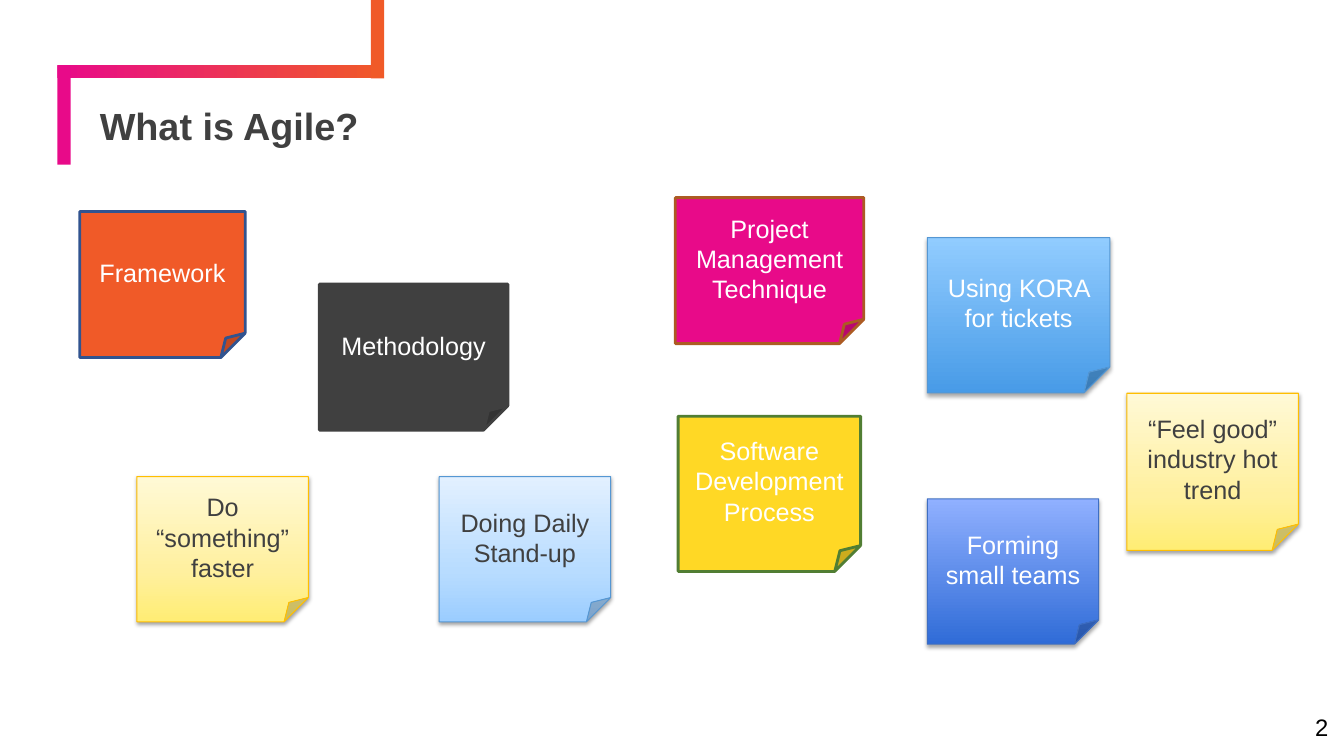
"""Build the "What is Agile?" slide with its sticky notes."""
from dataclasses import dataclass
from typing import Any, Optional

from lxml.etree import SubElement
from pptx import Presentation
from pptx.dml.color import RGBColor
from pptx.enum.shapes import MSO_SHAPE
from pptx.enum.text import MSO_ANCHOR, MSO_AUTO_SIZE, PP_ALIGN
from pptx.oxml.ns import qn
from pptx.util import Cm, Pt

WHITE = RGBColor(0xFF, 0xFF, 0xFF)
BLACK = RGBColor(0x00, 0x00, 0x00)
CHARCOAL = RGBColor(0x40, 0x40, 0x40)
ORANGE = RGBColor(0xF0, 0x5A, 0x28)
PINK = RGBColor(0xE8, 0x0A, 0x89)
YELLOW = RGBColor(0xFF, 0xD8, 0x25)
NAVY = RGBColor(0x31, 0x53, 0x8F)
BROWN = RGBColor(0xAC, 0x5B, 0x23)
GREEN = RGBColor(0x51, 0x7E, 0x33)
AMBER = RGBColor(0xFF, 0xBE, 0x00)
STEEL = RGBColor(0x55, 0x97, 0xD3)
COBALT = RGBColor(0x3E, 0x6E, 0xC2)

Stops = tuple[tuple[int, RGBColor], ...]
BANNER: Stops = ((0, PINK), (100, ORANGE))
CREAM: Stops = ((0, RGBColor(0xFF, 0xED, 0x74)), (35, RGBColor(0xFF, 0xF0, 0x9F)),
                (100, RGBColor(0xFF, 0xF9, 0xD6)))
ICE: Stops = ((0, RGBColor(0x9B, 0xCD, 0xFF)), (35, RGBColor(0xB8, 0xDC, 0xFF)),
              (100, RGBColor(0xE2, 0xF0, 0xFF)))
SKY: Stops = ((0, RGBColor(0x48, 0x9B, 0xE7)), (100, RGBColor(0x91, 0xCC, 0xFF)))
ROYAL: Stops = ((0, RGBColor(0x30, 0x6C, 0xD7)), (100, RGBColor(0x90, 0xB0, 0xFF)))


@dataclass(frozen=True)
class Shadow:
    opacity: int
    distance: float


SOFT = Shadow(37, 1.6)
FIRM = Shadow(35, 1.8)


@dataclass(frozen=True)
class Bar:
    left: float
    top: float
    width: float
    height: float
    fill: RGBColor | Stops


@dataclass(frozen=True)
class Note:
    text: str
    left: float
    top: float
    width: float
    height: float
    fill: RGBColor | Stops
    line: RGBColor
    color: RGBColor = WHITE
    shadow: Optional[Shadow] = None


BARS = (
    Bar(1.45, 1.65, 8.23, 0.33, BANNER),
    Bar(1.45, 1.65, 0.33, 2.5, PINK),
    Bar(9.35, 0, 0.33, 1.98, ORANGE),
)
NOTES = (
    Note("Framework", 2.01, 5.33, 4.17, 3.68, ORANGE, NAVY),
    Note("Project Management Technique", 17.02, 4.98, 4.75, 3.68, PINK, BROWN),
    Note("Methodology", 8.05, 7.16, 4.75, 3.68, CHARCOAL, CHARCOAL),
    Note("Software Development Process", 17.09, 10.49, 4.6, 3.91, YELLOW, GREEN),
    Note("Do “something” faster", 3.45, 12.01, 4.32, 3.66, CREAM, AMBER, CHARCOAL, SOFT),
    Note("Doing Daily Stand-up", 11.07, 12.01, 4.32, 3.66, ICE, STEEL, CHARCOAL, SOFT),
    Note("Using KORA for tickets", 23.37, 5.99, 4.6, 3.91, SKY, STEEL, WHITE, FIRM),
    Note("Forming small teams", 23.37, 12.57, 4.32, 3.66, ROYAL, COBALT, WHITE, FIRM),
    Note("“Feel good” industry hot trend", 28.4, 9.91, 4.32, 3.96, CREAM, AMBER, CHARCOAL, SOFT),
)


def apply_format(target: Any, values: dict[str, Any]) -> None:
    """Set every named attribute on the target."""
    for name, value in values.items():
        setattr(target, name, value)


def paint(shape: Any, fill: RGBColor | Stops, angle: int) -> None:
    """Fill a shape with one colour or with gradient stops."""
    if isinstance(fill, RGBColor):
        shape.fill.solid()
        shape.fill.fore_color.rgb = fill
        return
    shape.fill.gradient()
    shape.fill.gradient_angle = angle
    stop_list = next(shape.element.spPr.iter(qn("a:gsLst")))
    for stop in list(stop_list):
        stop_list.remove(stop)
    for position, color in fill:
        stop = SubElement(stop_list, qn("a:gs"), pos=str(position * 1000))
        SubElement(stop, qn("a:srgbClr"), val=str(color))


def cast_shadow(shape: Any, shadow: Shadow) -> None:
    """Add a soft shadow that falls straight down."""
    effects = shape.element.spPr.find(qn("a:effectLst"))
    outer = SubElement(effects, qn("a:outerShdw"), blurRad=str(Pt(3.1)),
                       dist=str(Pt(shadow.distance)), dir="5400000", rotWithShape="0")
    color = SubElement(outer, qn("a:srgbClr"), val=str(BLACK))
    SubElement(color, qn("a:alpha"), val=str(shadow.opacity * 1000))


def write_text(box: Any, text: str, alignment: PP_ALIGN, font: dict[str, Any]) -> Any:
    """Write one formatted, vertically centred paragraph."""
    frame = box.text_frame
    apply_format(frame, {"word_wrap": True, "auto_size": MSO_AUTO_SIZE.NONE,
                         "vertical_anchor": MSO_ANCHOR.MIDDLE})
    para = frame.paragraphs[0]
    para.alignment = alignment
    span = para.add_run()
    span.text = text
    color = font.pop("color")
    apply_format(span.font, {"name": "Arial", **font})
    span.font.color.rgb = color
    return para


def add_block(page: Any, kind: MSO_SHAPE, item: Bar | Note, angle: int) -> Any:
    """Add a filled shape without a shadow."""
    shape = page.shapes.add_shape(kind, Cm(item.left), Cm(item.top),
                                  Cm(item.width), Cm(item.height))
    shape.shadow.inherit = False
    paint(shape, item.fill, angle)
    return shape


def add_note(page: Any, note: Note) -> None:
    """Add one sticky note."""
    shape = add_block(page, MSO_SHAPE.FOLDED_CORNER, note, 90)
    shape.line.color.rgb = note.line
    shape.line.width = Pt(0.75 if note.shadow else 2)
    if note.shadow:
        cast_shadow(shape, note.shadow)
    write_text(shape, note.text, PP_ALIGN.CENTER, {"size": Pt(18), "color": note.color})


def main() -> None:
    """Build and save the deck."""
    deck = Presentation()
    apply_format(deck, {"slide_width": Cm(33.87), "slide_height": Cm(19.05)})
    page = deck.slides.add_slide(deck.slide_layouts[5])
    for bar in BARS:
        add_block(page, MSO_SHAPE.RECTANGLE, bar, 0).line.fill.background()
    title = page.shapes.title
    apply_format(title, {"left": Cm(2.26), "top": Cm(2.64),
                         "width": Cm(30.56), "height": Cm(1.17)})
    heading = write_text(title, "What is Agile?", PP_ALIGN.LEFT,
                         {"size": Pt(27), "bold": True, "color": CHARCOAL})
    heading.line_spacing = 0.9
    number = page.shapes.add_textbox(Cm(31.7), Cm(17.6), Cm(2.03), Cm(1.45))
    write_text(number, "2", PP_ALIGN.RIGHT, {"size": Pt(17), "color": BLACK})
    for note in NOTES:
        add_note(page, note)
    deck.save("out.pptx")


if __name__ == "__main__":
    main()
